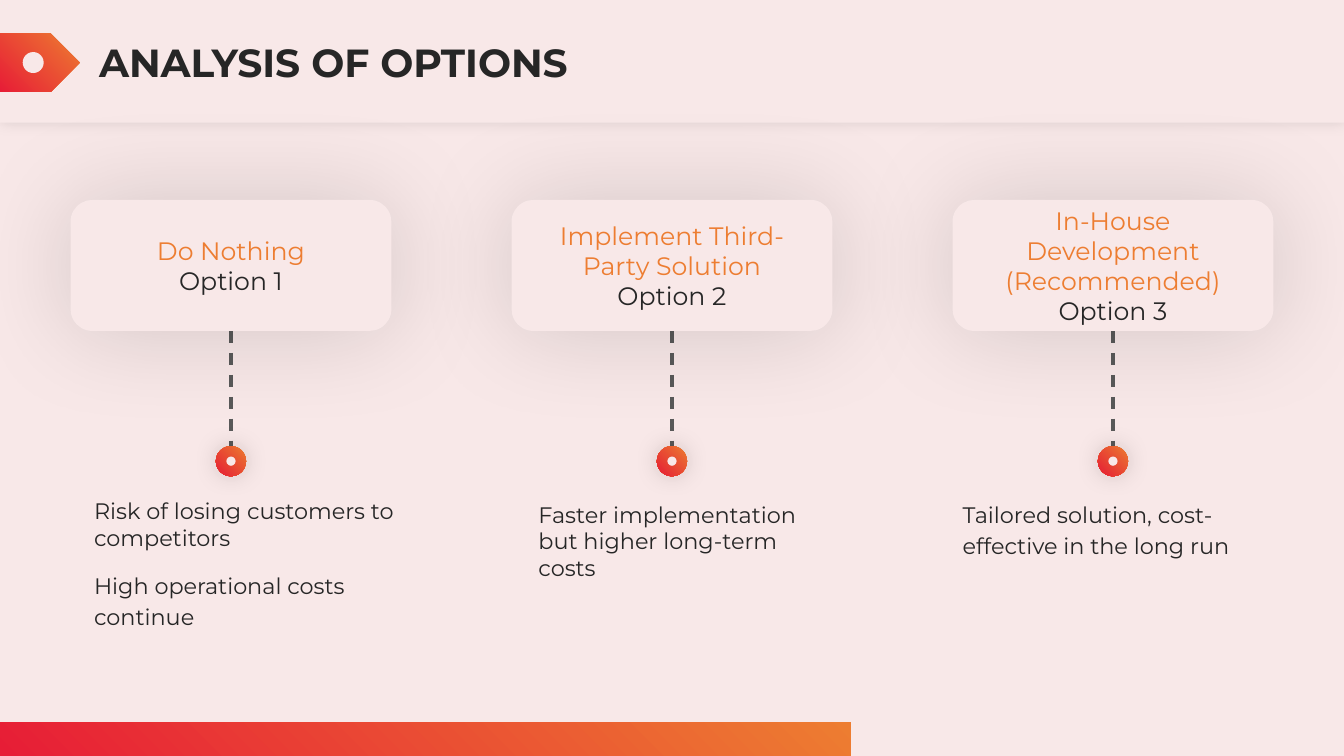
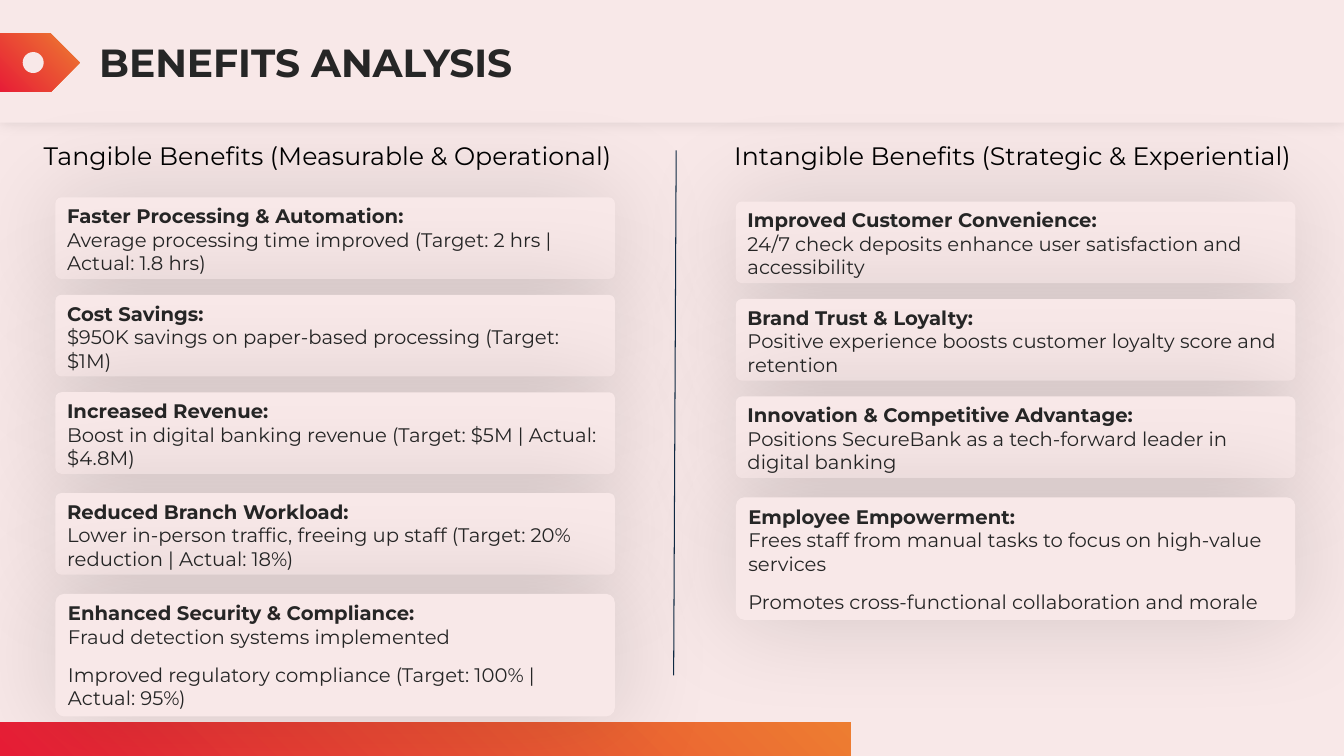
import dataclasses

import lxml.etree
import pptx
import pptx.dml.color
import pptx.enum.dml
import pptx.enum.shapes
import pptx.enum.text
import pptx.oxml.ns
import pptx.util

SHAPE = pptx.enum.shapes.MSO_SHAPE
ALIGN = pptx.enum.text.PP_ALIGN
ANCHOR = pptx.enum.text.MSO_ANCHOR
Pt = pptx.util.Pt
qn = pptx.oxml.ns.qn

# The slide is a grid of square cells, 160 columns by 90 rows
COLS, ROWS = 160, 90
CELL = pptx.util.Inches(1) // 12


@dataclasses.dataclass(frozen=True)
class Theme:
    font: str = "Montserrat"
    paper: str = "F8E8E8"
    ink: str = "262626"
    black: str = "000000"
    orange: str = "ED7D31"
    red: str = "E71D36"
    dash: str = "595959"
    navy: str = "0E2841"
    title: int = 28
    heading: int = 18
    note: int = 16
    card: int = 14
    # Shadows: opacity in percent, blur in points
    band_shadow: tuple = (10, 10)
    card_shadow: tuple = (14, 74)
    dot_shadow: tuple = (15, 18)


T = Theme()


def grid(*cells):
    return [round(c * CELL) for c in cells]


def rgb(value):
    return pptx.dml.color.RGBColor.from_string(value)


class Deck:
    """Holds the style and the current slide."""

    def __init__(self):
        self.prs = pptx.Presentation()
        self.prs.slide_width, self.prs.slide_height = grid(COLS, ROWS)

    def slide(self, title):
        layout = self.prs.slide_layouts.get_by_name("Comparison")
        self.s = self.prs.slides.add_slide(layout)
        fill = self.s.background.fill
        fill.solid()
        fill.fore_color.rgb = rgb(T.paper)
        self.free = list(self.s.placeholders)
        # Footer bar, header band and arrow tag with a plain emblem
        self.shape(SHAPE.RECTANGLE, 0, 86, 101.3, 4)
        self.shape(SHAPE.RECTANGLE, 0, 0, COLS, 14.6, T.paper, T.band_shadow)
        self.placeholder((10.6, 4, 149.4, 6.8), [(title, {})],
                         size=T.title, bold=True)
        self.shape(SHAPE.PENTAGON, 0, 4, 9.5, 6.9)
        self.shape(SHAPE.OVAL, 2.7, 6.2, 2.5, 2.5, T.paper)

    def finish(self):
        for sp in self.free:
            sp.element.getparent().remove(sp.element)

    def shape(self, kind, x, y, w, h, color=None, shadow=None, adj=None):
        """Preset shape; without a colour it gets the theme gradient."""
        sp = self.s.shapes.add_shape(kind, *grid(x, y, w, h))
        sp.line.fill.background()
        sp.shadow.inherit = False
        if adj is not None:
            sp.adjustments[0] = adj
        if color:
            sp.fill.solid()
            sp.fill.fore_color.rgb = rgb(color)
        else:
            sp.fill.gradient()
            sp.fill.gradient_angle = 225
            for stop, value in zip(sp.fill.gradient_stops, (T.orange, T.red)):
                stop.color.rgb = rgb(value)
        if shadow:
            self.shadow(sp, *shadow)
        return sp

    def shadow(self, sp, opacity, blur):
        effects = sp.element.spPr.find(qn("a:effectLst"))
        outer = lxml.etree.SubElement(
            effects, qn("a:outerShdw"), blurRad=str(Pt(blur)), dist="0",
            dir="0", algn="ctr", rotWithShape="0")
        clr = lxml.etree.SubElement(outer, qn("a:srgbClr"), val=T.black)
        lxml.etree.SubElement(clr, qn("a:alpha"), val=str(opacity * 1000))

    def line(self, x1, y1, x2, y2, color, width, dash=None):
        c = self.s.shapes.add_connector(
            pptx.enum.shapes.MSO_CONNECTOR.STRAIGHT, *grid(x1, y1, x2, y2))
        c.line.color.rgb = rgb(color)
        c.line.width = Pt(width)
        c.line.dash_style = dash
        lxml.etree.SubElement(c.element.spPr, qn("a:effectLst"))

    def placeholder(self, box, paras, inset=0.6, **base):
        """Next free template placeholder, moved in front of the bands."""
        sp = self.free.pop(0)
        sp.element.getparent().append(sp.element)
        sp.left, sp.top, sp.width, sp.height = grid(*box)
        self.text(sp, paras, inset=inset, **base)

    def card(self, box, paras, adj, **base):
        sp = self.shape(SHAPE.ROUNDED_RECTANGLE, *box, T.paper,
                        T.card_shadow, adj)
        self.text(sp, paras, **base)

    def text(self, sp, paras, anchor=ANCHOR.TOP, inset=0.6, **base):
        """Paragraphs are (text, format) pairs laid over the base format."""
        tf = sp.text_frame
        side, edge = grid(1.2, inset)
        frame = dict(word_wrap=True, vertical_anchor=anchor,
                     auto_size=pptx.enum.text.MSO_AUTO_SIZE.NONE,
                     margin_left=side, margin_right=side,
                     margin_top=edge, margin_bottom=edge)
        for key, value in frame.items():
            setattr(tf, key, value)
        defaults = dict(name=T.font, color=T.ink, bold=False,
                        alignment=ALIGN.LEFT, line_spacing=1.0,
                        space_before=Pt(0), space_after=Pt(0))
        for i, (words, extra) in enumerate(paras):
            p = tf.paragraphs[0] if i == 0 else tf.add_paragraph()
            pPr = p._p.get_or_add_pPr()
            pPr.set("marL", "0")
            pPr.set("indent", "0")
            lxml.etree.SubElement(pPr, qn("a:buNone"))
            r = p.add_run()
            r.text = words
            fmt = {**defaults, **base, **extra}
            r.font.color.rgb = rgb(fmt.pop("color"))
            r.font.size = Pt(fmt.pop("size"))
            for key, value in fmt.items():
                target = r.font if key in ("name", "bold") else p
                setattr(target, key, value)


def options_slide(deck):
    deck.slide("ANALYSIS OF OPTIONS")
    loose = dict(line_spacing=1.15, space_after=Pt(12))
    # Option name, note indent, note top, note width, note paragraphs
    options = [
        ("Do Nothing", 1.6, 58.6, 38.2,
         [("Risk of losing customers to competitors", {}),
          ("High operational costs continue",
           dict(loose, space_before=Pt(12)))]),
        ("Implement Third-Party Solution", 2, 59, 37.1,
         [("Faster implementation but higher long-term costs", {})]),
        ("In-House Development (Recommended)", 0, 58.6, 37.1,
         [("Tailored solution, cost-effective in the long run", loose)]),
    ]
    top, width, height, pitch = 23.8, 38.2, 15.6, 52.5
    dot, hole, dot_mid = 3.6, 1.1, 54.9
    for i, (name, indent, note_top, note_width, note) in enumerate(options):
        left = 8.4 + i * pitch
        mid = left + width / 2
        # Dashed stem, option card, ring and note
        deck.line(mid, top + height, mid, dot_mid - dot / 2, T.dash, 2.25,
                  pptx.enum.dml.MSO_LINE.DASH)
        deck.card((left, top, width, height),
                  [(name, dict(color=T.orange)), (f"Option {i + 1}", {})],
                  adj=0.167, size=T.heading, alignment=ALIGN.CENTER,
                  anchor=ANCHOR.MIDDLE)
        for size, color in ((dot, None), (hole, T.paper)):
            deck.shape(SHAPE.OVAL, mid - size / 2, dot_mid - size / 2,
                       size, size, color, T.dot_shadow)
        deck.placeholder((left + indent, note_top, note_width, 16.7), note,
                         size=T.note)
    deck.finish()


def benefits_slide(deck):
    deck.slide("BENEFITS ANALYSIS")
    # Heading, heading left and width, card left and top, cards
    columns = [
        ("Tangible Benefits (Measurable & Operational)", 4, 73.6, 6.6, 23.5, [
            ("Faster Processing & Automation:",
             "Average processing time improved (Target: 2 hrs | Actual: 1.8 hrs)"),
            ("Cost Savings:",
             "$950K savings on paper-based processing (Target: $1M)"),
            ("Increased Revenue:",
             "Boost in digital banking revenue (Target: $5M | Actual: $4.8M)"),
            ("Reduced Branch Workload:",
             "Lower in-person traffic, freeing up staff "
             "(Target: 20% reduction | Actual: 18%)"),
            ("Enhanced Security & Compliance:",
             "Fraud detection systems implemented",
             "Improved regulatory compliance (Target: 100% | Actual: 95%)")]),
        ("Intangible Benefits (Strategic & Experiential)", 86.2, 71.8, 87.6, 24, [
            ("Improved Customer Convenience:",
             "24/7 check deposits enhance user satisfaction and accessibility"),
            ("Brand Trust & Loyalty:",
             "Positive experience boosts customer loyalty score and retention"),
            ("Innovation & Competitive Advantage:",
             "Positions SecureBank as a tech-forward leader in digital banking"),
            ("Employee Empowerment:",
             "Frees staff from manual tasks to focus on high-value services",
             "Promotes cross-functional collaboration and morale")]),
    ]
    card_steps = (0, 11.6, 23.2, 35.2, 47.2)
    styles = (dict(bold=True), {}, dict(space_before=Pt(10)))
    for heading, head_left, head_width, left, top, cards in columns:
        for step, lines in zip(card_steps, cards):
            height = 9.7 if len(lines) == 2 else 14.6
            deck.card((left, top + step, 66.6, height),
                      list(zip(lines, styles)), adj=0.072, size=T.card)
        deck.placeholder((head_left, 15.5, head_width, 7.8), [(heading, {})],
                         inset=1.2, size=T.heading, color=T.black)
    # Divider between the columns
    deck.line(80.5, 17.9, 80.2, 80.4, T.navy, 0.75)
    deck.finish()


def main():
    deck = Deck()
    options_slide(deck)
    benefits_slide(deck)
    deck.prs.save("out.pptx")


if __name__ == "__main__":
    main()
